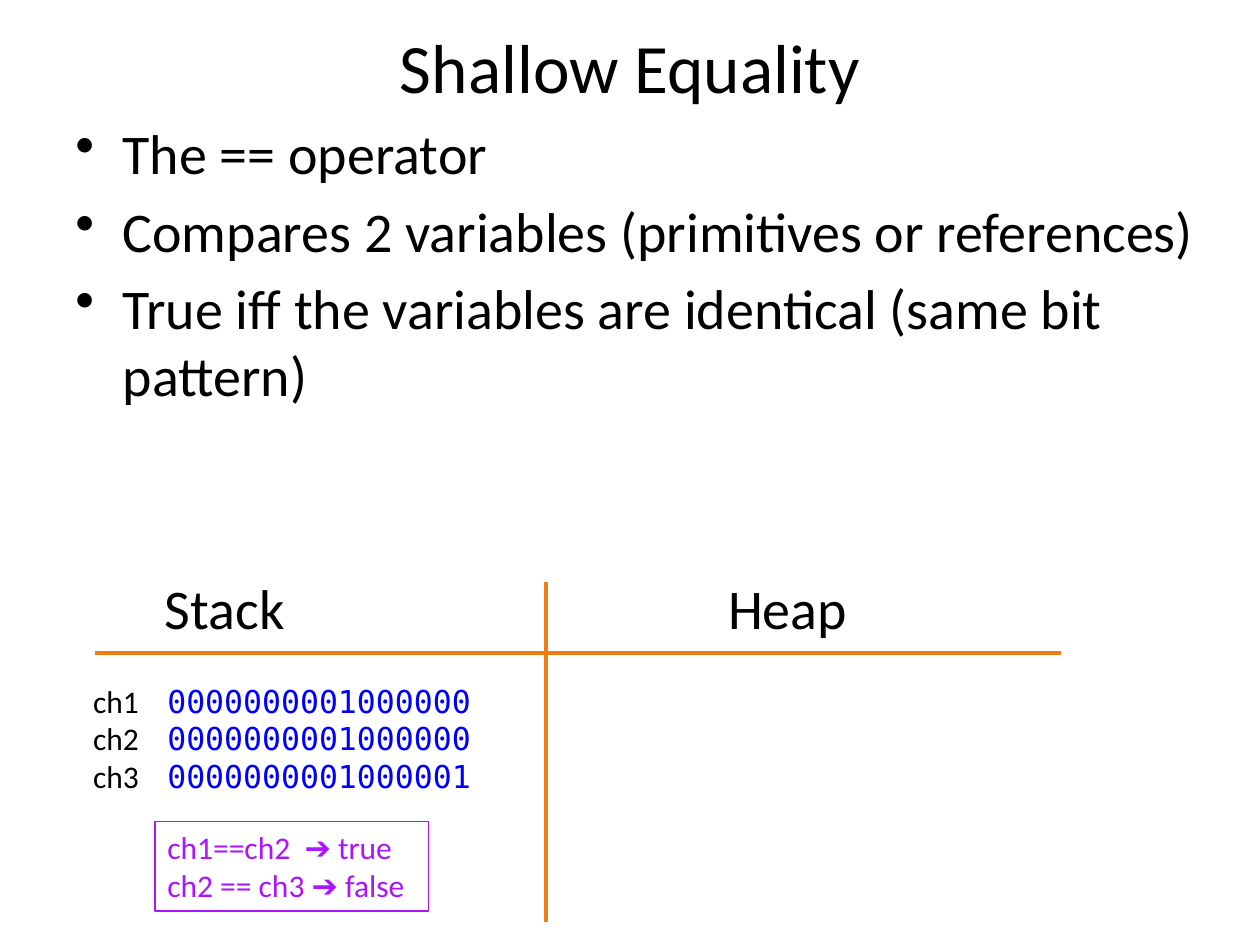
"""Build a slide on shallow equality with a stack and heap diagram."""
import dataclasses

import lxml.etree
import pptx
import pptx.dml.color
import pptx.enum.shapes
import pptx.enum.text
import pptx.oxml.ns
import pptx.util

COLUMNS, ROWS = 100, 75
WIDTH, HEIGHT = pptx.util.Inches(10), pptx.util.Inches(7.5)
ALIGN = pptx.enum.text.PP_ALIGN
ANCHOR = pptx.enum.text.MSO_ANCHOR


@dataclasses.dataclass(frozen=True)
class Theme:
    """Colours, fonts and type sizes of the slide."""
    ink: str = "000000"
    bits: str = "0000FF"
    divider: str = "F27C14"
    result: str = "AC13FF"
    prose: str = "Calibri"
    code: str = "DejaVu Sans Mono"
    title: float = 39.6
    body: float = 32
    small: float = 18
    divider_width: float = 2.25
    frame_width: float = 0.75


THEME = Theme()


def col(count):
    """Return a length of so many grid columns."""
    return round(WIDTH * count / COLUMNS)


def row(count):
    """Return a length of so many grid rows."""
    return round(HEIGHT * count / ROWS)


def rgb(code):
    """Return a colour object for a hex code."""
    return pptx.dml.color.RGBColor.from_string(code)


def add_bullet(paragraph, indent):
    """Give a paragraph a round bullet with a hanging indent."""
    properties = paragraph._p.get_or_add_pPr()
    properties.set("marL", str(indent))
    properties.set("indent", str(-indent))
    bullet = lxml.etree.SubElement(properties, pptx.oxml.ns.qn("a:buChar"))
    bullet.set("char", "•")


def add_tab(paragraph, position):
    """Give a paragraph one left tab stop."""
    tabs = lxml.etree.SubElement(paragraph._p.get_or_add_pPr(), pptx.oxml.ns.qn("a:tabLst"))
    lxml.etree.SubElement(tabs, pptx.oxml.ns.qn("a:tab"), pos=str(position), algn="l")


def write(frame, lines, size=THEME.small, font=THEME.prose, color=THEME.ink, align=ALIGN.LEFT,
          anchor=ANCHOR.TOP, wrap=False, indent=None, tab=None, gap=0):
    """Fill a text frame with one paragraph per line in one format."""
    frame.word_wrap = wrap
    frame.vertical_anchor = anchor
    for index, line in enumerate(lines):
        paragraph = frame.add_paragraph() if index else frame.paragraphs[0]
        paragraph.alignment = align
        if index and gap:
            paragraph.space_before = pptx.util.Pt(gap)
        if indent:
            add_bullet(paragraph, indent)
        if tab and "\t" in line:
            add_tab(paragraph, tab)
        run = paragraph.add_run()
        run.text = line
        run.font.size = pptx.util.Pt(size)
        run.font.name = font
        run.font.color.rgb = rgb(color)


def add_text(slide, left, top, width, height, lines, **style):
    """Place a text box on the grid."""
    box = slide.shapes.add_textbox(col(left), row(top), col(width), row(height))
    write(box.text_frame, lines, **style)


def add_framed_text(slide, left, top, width, height, lines, **style):
    """Place an unfilled rectangle, outlined in its text colour, on the grid."""
    frame = slide.shapes.add_shape(pptx.enum.shapes.MSO_SHAPE.RECTANGLE,
                                   col(left), row(top), col(width), row(height))
    frame.shadow.inherit = False
    frame.fill.background()
    frame.line.color.rgb = rgb(style["color"])
    frame.line.width = pptx.util.Pt(THEME.frame_width)
    write(frame.text_frame, lines, **style)


def add_divider(slide, start, end):
    """Draw a straight divider between two grid points."""
    divider = slide.shapes.add_connector(pptx.enum.shapes.MSO_CONNECTOR.STRAIGHT,
                                         col(start[0]), row(start[1]), col(end[0]), row(end[1]))
    divider.line.color.rgb = rgb(THEME.divider)
    divider.line.width = pptx.util.Pt(THEME.divider_width)
    lxml.etree.SubElement(divider._element.spPr, pptx.oxml.ns.qn("a:effectLst"))


def main():
    """Build and save the slide."""
    deck = pptx.Presentation()
    deck.slide_width, deck.slide_height = WIDTH, HEIGHT
    slide = deck.slides.add_slide(deck.slide_layouts[6])

    add_text(slide, 5, 2, 90, 6.5, ["Shallow Equality"], size=THEME.title,
             align=ALIGN.CENTER, anchor=ANCHOR.MIDDLE, wrap=True)
    add_text(slide, 5, 8.9, 93.3, 38.6,
             ["The == operator",
              "Compares 2 variables (primitives or references)",
              "True iff the variables are identical (same bit pattern)"],
             size=THEME.body, wrap=True, indent=col(3.75), gap=6)

    add_text(slide, 12.1, 45, 63, 6.4, ["Stack\tHeap"], size=THEME.body, wrap=True, tab=col(44.7))
    add_divider(slide, (43.3, 73.2), (43.3, 46.2))
    add_divider(slide, (7.5, 51.8), (84.2, 51.8))

    variables = {"ch1": "0000000001000000",
                 "ch2": "0000000001000000",
                 "ch3": "0000000001000001"}
    add_text(slide, 12.3, 53.6, 26.3, 10.1, variables.values(), font=THEME.code, color=THEME.bits)
    add_text(slide, 6.4, 53.6, 5.7, 10.1, variables)
    add_framed_text(slide, 12.3, 65.2, 21.7, 7.1, ["ch1==ch2\t➔ true", "ch2 == ch3 ➔ false"],
                    color=THEME.result, tab=col(10.9))

    deck.save("out.pptx")


if __name__ == "__main__":
    main()
